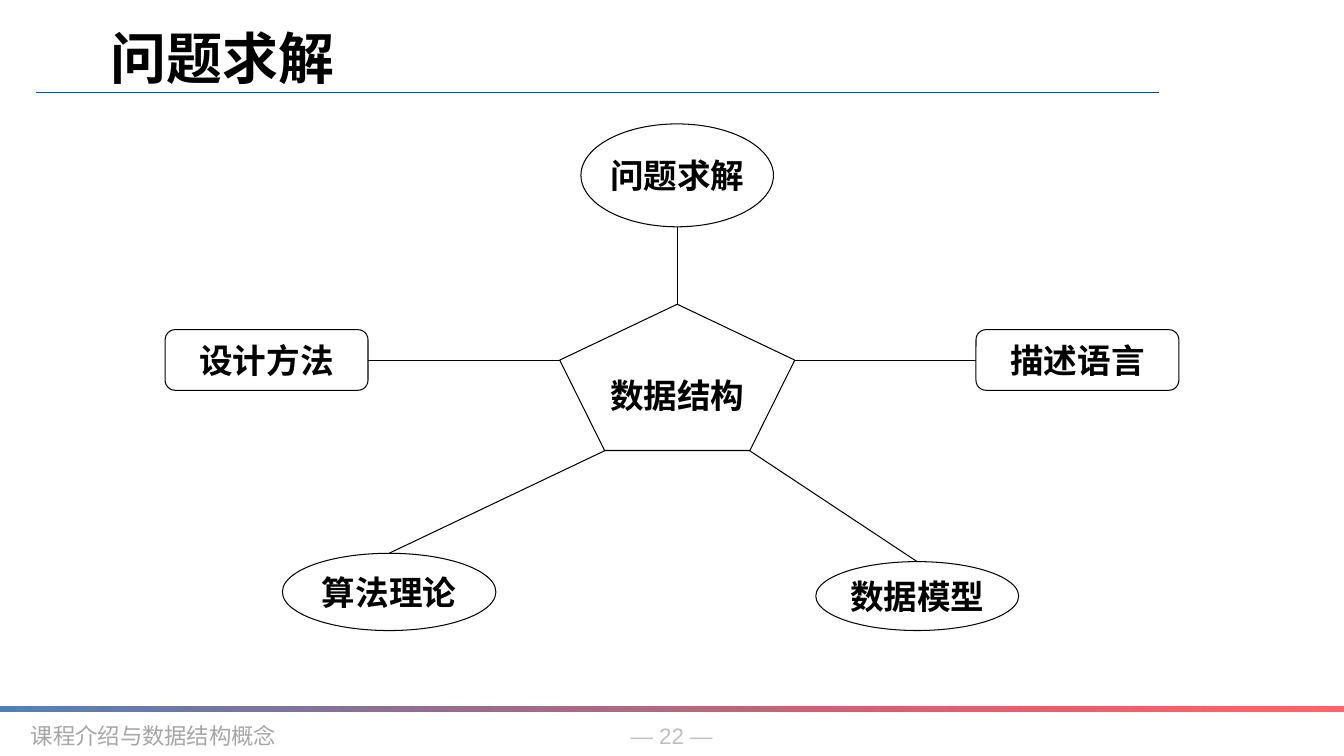
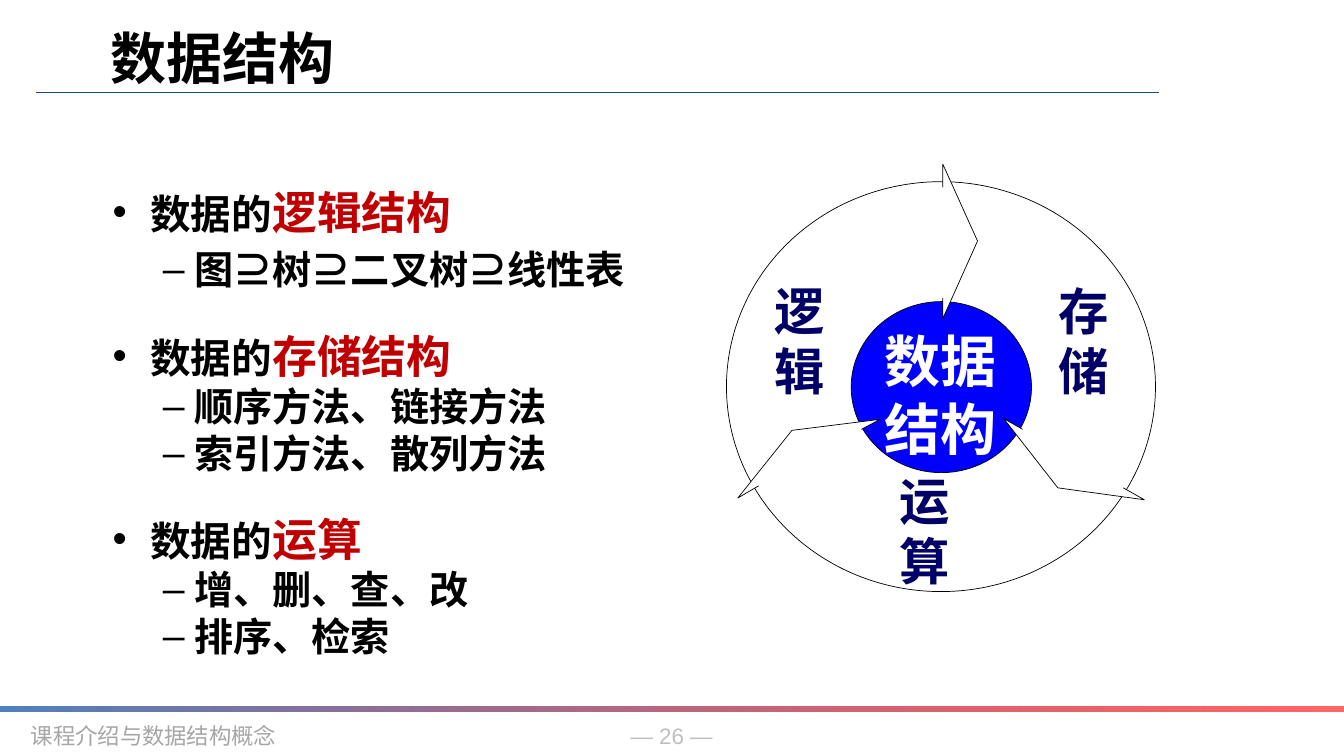
from pptx import Presentation
from pptx.dml.color import RGBColor
from pptx.enum.shapes import MSO_CONNECTOR, MSO_SHAPE as Shape
from pptx.enum.text import MSO_ANCHOR as Anchor, PP_ALIGN as Align
from pptx.oxml.ns import qn
from pptx.util import Pt
from lxml.etree import SubElement

BLACK, WHITE, NAVY, RED = "000000", "FFFFFF", "000066", "C00000"
CHINESE_FONT = "Noto Sans CJK SC"


def colour(code):
    return RGBColor.from_string(code)


def add_run(paragraph, text, size=24, font="Karla", color=BLACK, bold=True):
    run = paragraph.add_run()
    run.text = text
    run.font.size = Pt(size)
    run.font.name = font
    run.font.bold = bold
    run.font.color.rgb = colour(color)
    SubElement(run._r.get_or_add_rPr(), qn("a:ea"), typeface=CHINESE_FONT)


class Deck:
    """Draws course slides with one shared style; lengths are in points."""

    width, height = 960.48, 540

    def __init__(self):
        self.presentation = Presentation()
        self.presentation.slide_width = Pt(self.width)
        self.presentation.slide_height = Pt(self.height)
        self.slide = None

    def start_slide(self, title, number):
        layout = self.presentation.slide_layouts[6]
        self.slide = self.presentation.slides.add_slide(layout)
        footer = dict(size=16, line=21.4, bold=False)
        self.text(f"— {number} —", 430, 510, 100, 26, font="Arial",
                  color="BFBFBF", align=Align.CENTER, **footer)
        self.text("课程介绍与数据结构概念", 15, 510, 210, 26,
                  font="Courier New", color="A6A6A6", **footer)
        self.line((26, 66.2), (828, 66.2), "1F497D", 1)
        self.band(504.7, 3.8)
        self.text(title, 72, 9.4, 221, 50, size=40, font=CHINESE_FONT, line=52)

    def band(self, top, height):
        shape = self.shape(Shape.RECTANGLE, 0, top, self.width, height, line_width=0)
        shape.fill.gradient()
        shape.fill.gradient_angle = 0
        for stop, code in zip(shape.fill.gradient_stops, ("4F81BD", "FF0000")):
            stop.color.rgb = colour(code)
        last_color = list(shape._element.spPr.iter(qn("a:srgbClr")))[-1]
        SubElement(last_color, qn("a:alpha"), val="60000")

    def outline(self, shape, fill, line_width):
        shape.shadow.inherit = False
        shape.fill.solid()
        shape.fill.fore_color.rgb = colour(fill)
        if line_width:
            shape.line.color.rgb = colour(BLACK)
            shape.line.width = Pt(line_width)
        else:
            shape.line.fill.background()
        return shape

    def shape(self, kind, left, top, width, height, fill=WHITE, line_width=0.75):
        shape = self.slide.shapes.add_shape(
            kind, Pt(left), Pt(top), Pt(width), Pt(height))
        return self.outline(shape, fill, line_width)

    def node(self, kind, text, left, top, width, height):
        shape = self.shape(kind, left, top, width, height)
        frame = shape.text_frame
        frame.word_wrap = False
        frame.vertical_anchor = Anchor.MIDDLE
        frame.paragraphs[0].alignment = Align.CENTER
        add_run(frame.paragraphs[0], text)

    def line(self, start, end, color=BLACK, width=0.75):
        connector = self.slide.shapes.add_connector(
            MSO_CONNECTOR.STRAIGHT, *(Pt(value) for value in (*start, *end)))
        connector.line.color.rgb = colour(color)
        connector.line.width = Pt(width)
        SubElement(connector._element.spPr, qn("a:effectLst"))

    def arrow(self, points):
        (x, y), *others = [(Pt(x), Pt(y)) for x, y in points]
        builder = self.slide.shapes.build_freeform(x, y)
        builder.add_line_segments(others, close=False)
        self.outline(builder.convert_to_shape(), WHITE, 0.5)

    def frame(self, left, top, width, height):
        box = self.slide.shapes.add_textbox(
            Pt(left), Pt(top), Pt(width), Pt(height))
        box.text_frame.word_wrap = True
        return box.text_frame

    def text(self, text, left, top, width, height, line, align=Align.LEFT, **style):
        frame = self.frame(left, top, width, height)
        paragraph = frame.paragraphs[0]
        paragraph.alignment = align
        paragraph.line_spacing = Pt(line)
        add_run(paragraph, text, **style)
        return frame

    def label(self, text, center_x, center_y, width, height, line, **style):
        frame = self.text(text, center_x - width / 2, center_y - height / 2,
                          width, height, line, Align.CENTER, **style)
        frame.vertical_anchor = Anchor.MIDDLE
        frame.margin_left = frame.margin_right = 0
        frame.margin_top = frame.margin_bottom = 0

    def bullet(self, paragraph, mark, margin, hanging, line, before):
        paragraph.line_spacing = Pt(line)
        if before:
            paragraph.space_before = Pt(before)
        properties = paragraph._p.get_or_add_pPr()
        properties.set("marL", str(Pt(margin)))
        properties.set("indent", str(-Pt(hanging)))
        SubElement(properties, qn("a:buFont"), typeface="Arial")
        SubElement(properties, qn("a:buChar"), char=mark)

    def outline_list(self, sections, left, top, width, height):
        frame = self.frame(left, top, width, height)
        for index, (topic, details) in enumerate(sections):
            first = index == 0
            heading = frame.paragraphs[0] if first else frame.add_paragraph()
            self.bullet(heading, "•", 27, 27, 84 if first else 58, 0 if first else 6)
            add_run(heading, "数据的", size=29, font="Arial")
            add_run(heading, topic, size=32, color=RED)
            for detail in details:
                paragraph = frame.add_paragraph()
                self.bullet(paragraph, "–", 58.5, 22.5, 33.6, 5 if first else 0)
                add_run(paragraph, detail, size=28, font="Arial")


def draw_problem_solving(deck):
    deck.start_slide("问题求解", 22)
    for kind, text, *box in (
        (Shape.OVAL, "问题求解", 415.2, 88.5, 137.6, 73.5),
        (Shape.REGULAR_PENTAGON, "数据结构", 400, 217.3, 168, 104.5),
        (Shape.ROUNDED_RECTANGLE, "设计方法", 118, 235.5, 145, 43.3),
        (Shape.ROUNDED_RECTANGLE, "描述语言", 697.5, 235.5, 145, 43.3),
        (Shape.OVAL, "算法理论", 201.8, 395.2, 152.6, 55.2),
        (Shape.OVAL, "数据模型", 583, 401.2, 145, 49.2),
    ):
        deck.node(kind, text, *box)
    for start, end in (
        ((568, 257.2), (697.5, 257.2)),
        ((400, 257.2), (263, 257.2)),
        ((432.5, 321.8), (278.1, 395.2)),
        ((535.5, 321.8), (655.5, 401.2)),
        ((484, 217.3), (484, 162)),
    ):
        deck.line(start, end)


def draw_data_structure(deck):
    deck.start_slide("数据结构", 26)
    deck.outline_list((
        ("逻辑结构", ["图⊇树⊇二叉树⊇线性表"]),
        ("存储结构", ["顺序方法、链接方法", "索引方法、散列方法"]),
        ("运算", ["增、删、查、改", "排序、检索"]),
    ), 73.4, 82.8, 465, 384.5)
    deck.shape(Shape.OVAL, 519.2, 129.8, 306.6, 292.8, line_width=0.5)
    deck.shape(Shape.OVAL, 608.3, 215.4, 128.9, 122.2, "0000FF", 0.5)
    deck.label("数据结构", 672.2, 281.3, 102, 98, 48.6,
               size=40, font="Arial", color=WHITE)
    for points in (
        ((673.8, 213), (673.8, 227.5), (698.6, 172.2), (673.8, 117.3), (673.8, 133.8)),
        ((615.6, 306.7), (629, 299.5), (566, 307.4), (527.3, 355.7), (542.2, 347)),
        ((730.8, 306.7), (717.3, 299), (756, 348.5), (817.8, 357), (802.8, 348.5)),
    ):
        deck.arrow(points)
    for text, x, y in (("存储", 774.3, 243.5), ("逻辑", 571.5, 243.5),
                       ("运算", 660.8, 379)):
        deck.label(text, x, y, 48, 86, 43,
                   size=36, font="Times New Roman", color=NAVY)


def main():
    deck = Deck()
    draw_problem_solving(deck)
    draw_data_structure(deck)
    deck.presentation.save("out.pptx")


if __name__ == "__main__":
    main()
